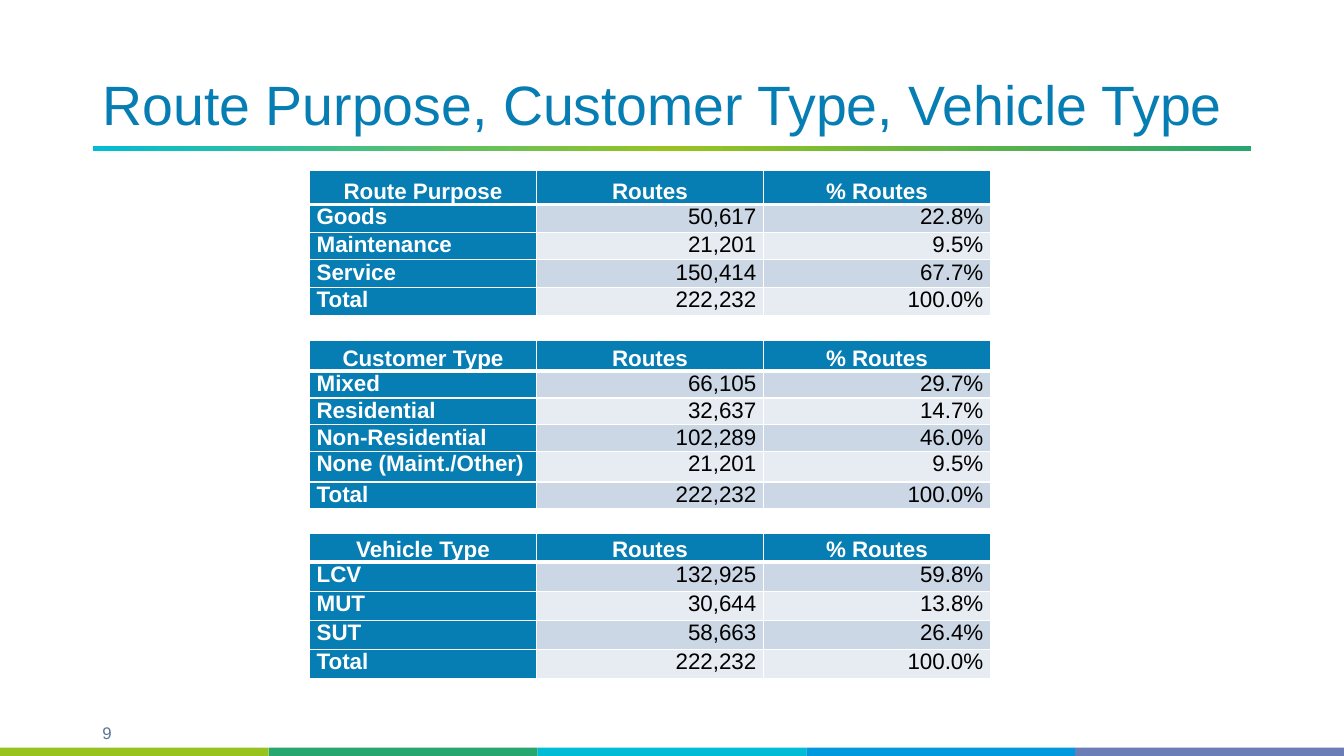
from copy import deepcopy
from dataclasses import dataclass

from lxml.etree import SubElement
from pptx import Presentation
from pptx.dml.color import RGBColor
from pptx.enum.shapes import MSO_SHAPE as Preset
from pptx.enum.text import MSO_ANCHOR as Anchor, PP_ALIGN as Align
from pptx.oxml.ns import qn
from pptx.util import Cm, Pt


@dataclass(frozen=True)
class Theme:
    font: str = "Arial"
    blue: str = "067DB3"
    white: str = "FFFFFF"
    black: str = "000000"
    slate: str = "597794"
    bands: tuple = ("CCD7E5", "E7ECF2")
    rule: tuple = ("00BDD5", "98C31F", "27A670")
    footer: tuple = ("98C31F", "27A670", "00BDD5", "0199DD", "6B7DB7")
    title_size: float = 39.6
    table_size: float = 16
    number_size: float = 12


THEME = Theme()
SLIDE_WIDTH, SLIDE_HEIGHT = 33.87, 19.05
TABLE_LEFT, COLUMN_WIDTH = 7.8, 5.72

# Each table: top and row heights in centimetres, then its rows of text.
TABLES = (
    (4.29, (0.86, 0.7, 0.7, 0.7, 0.7), (
        ("Route Purpose", "Routes", "% Routes"),
        ("Goods", "50,617", "22.8%"),
        ("Maintenance", "21,201", "9.5%"),
        ("Service", "150,414", "67.7%"),
        ("Total", "222,232", "100.0%"))),
    (8.59, (0.76, 0.64, 0.64, 0.64, 0.76, 0.64), (
        ("Customer Type", "Routes", "% Routes"),
        ("Mixed", "66,105", "29.7%"),
        ("Residential", "32,637", "14.7%"),
        ("Non-Residential", "102,289", "46.0%"),
        ("None (Maint./Other)", "21,201", "9.5%"),
        ("Total", "222,232", "100.0%"))),
    (13.44, (0.73,) * 5, (
        ("Vehicle Type", "Routes", "% Routes"),
        ("LCV", "132,925", "59.8%"),
        ("MUT", "30,644", "13.8%"),
        ("SUT", "58,663", "26.4%"),
        ("Total", "222,232", "100.0%"))),
)


def write(text_frame, text, size, color, align, bold=False):
    text_frame.text = text
    paragraph = text_frame.paragraphs[0]
    paragraph.alignment = align
    font = paragraph.runs[0].font
    font.name, font.size, font.bold = THEME.font, Pt(size), bold
    font.color.rgb = RGBColor.from_string(color)
    return paragraph


def add_text(slide, box, text, size, color, align, anchor):
    text_frame = slide.shapes.add_textbox(*map(Cm, box)).text_frame
    text_frame.word_wrap = True
    text_frame.vertical_anchor = anchor
    return write(text_frame, text, size, color, align)


def add_bar(slide, *box):
    """Add a rectangle without outline or shadow; the caller fills it."""
    bar = slide.shapes.add_shape(Preset.RECTANGLE, *map(Cm, box))
    bar.shadow.inherit = False
    bar.line.fill.background()
    return bar


def add_title_rule(slide):
    rule = add_bar(slide, 2.34, 3.68, 29.2, 0.13)
    rule.fill.gradient()
    rule.fill.gradient_angle = 0
    stop_list = next(rule.element.iter(qn("a:gsLst")))
    stop_list.append(deepcopy(stop_list[-1]))
    for index, (stop, color) in enumerate(zip(rule.fill.gradient_stops, THEME.rule)):
        stop.position = index / 2
        stop.color.rgb = RGBColor.from_string(color)


def add_footer(slide):
    width = SLIDE_WIDTH / len(THEME.footer)
    for index, color in enumerate(THEME.footer):
        bar = add_bar(slide, index * width, 18.84, width, 0.25)
        bar.fill.solid()
        bar.fill.fore_color.rgb = RGBColor.from_string(color)


def set_borders(cell, top, bottom):
    """Draw white borders; top and bottom are line widths in points."""
    properties = cell._tc.get_or_add_tcPr()
    for side, width in (("L", 1), ("R", 1), ("T", top), ("B", bottom)):
        line = SubElement(properties, qn(f"a:ln{side}"), w=str(Pt(width)))
        fill = SubElement(line, qn("a:solidFill"))
        SubElement(fill, qn("a:srgbClr"), val=THEME.white)


def format_cell(cell, text, row, column):
    header, label = row == 0, column == 0
    emphasis = header or label
    set_borders(cell, top=3 if row == 1 else 1, bottom=3 if header else 1)
    cell.fill.solid()
    fill = THEME.blue if emphasis else THEME.bands[(row - 1) % 2]
    cell.fill.fore_color.rgb = RGBColor.from_string(fill)
    cell.margin_left = cell.margin_right = Cm(0.18)
    cell.margin_top = cell.margin_bottom = 0
    cell.vertical_anchor = Anchor.BOTTOM if header else Anchor.TOP
    align = Align.CENTER if header else Align.LEFT if label else Align.RIGHT
    color = THEME.white if emphasis else THEME.black
    write(cell.text_frame, text, THEME.table_size, color, align, emphasis)


def add_route_table(slide, top, heights, rows):
    columns = len(rows[0])
    box = (TABLE_LEFT, top, columns * COLUMN_WIDTH, sum(heights))
    table = slide.shapes.add_table(len(rows), columns, *map(Cm, box)).table
    for row, (height, texts) in enumerate(zip(heights, rows)):
        table.rows[row].height = Cm(height)
        for column, text in enumerate(texts):
            format_cell(table.cell(row, column), text, row, column)


def main():
    presentation = Presentation()
    presentation.slide_width = Cm(SLIDE_WIDTH)
    presentation.slide_height = Cm(SLIDE_HEIGHT)
    slide = presentation.slides.add_slide(presentation.slide_layouts[6])

    add_text(slide, (1.88, 18.08, 1.63, 0.76), "9", THEME.number_size,
             THEME.slate, Align.CENTER, Anchor.TOP)
    add_title_rule(slide)
    add_footer(slide)
    title = add_text(slide, (2.34, 0.28, 29.2, 3.3),
                     "Route Purpose, Customer Type, Vehicle Type",
                     THEME.title_size, THEME.blue, Align.LEFT, Anchor.BOTTOM)
    title.line_spacing = 0.9
    for top, heights, rows in TABLES:
        add_route_table(slide, top, heights, rows)

    presentation.save("out.pptx")


if __name__ == "__main__":
    main()
